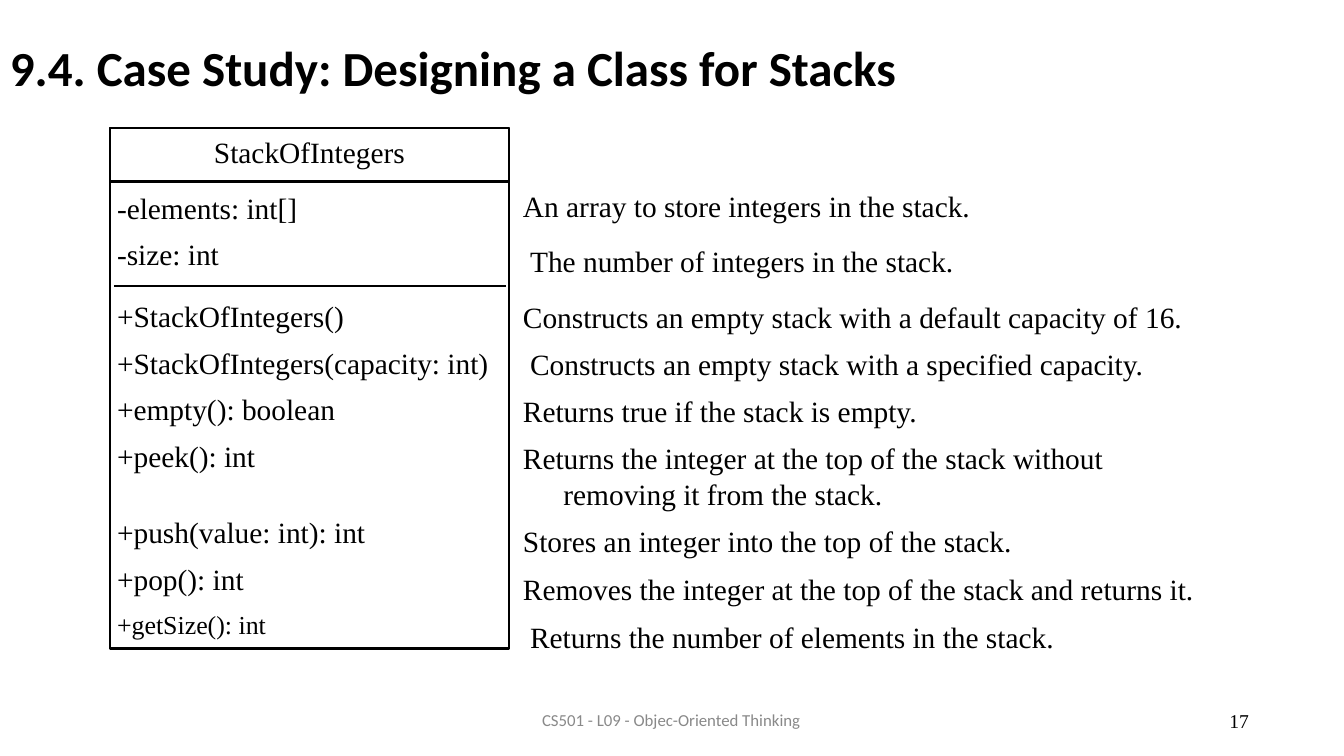
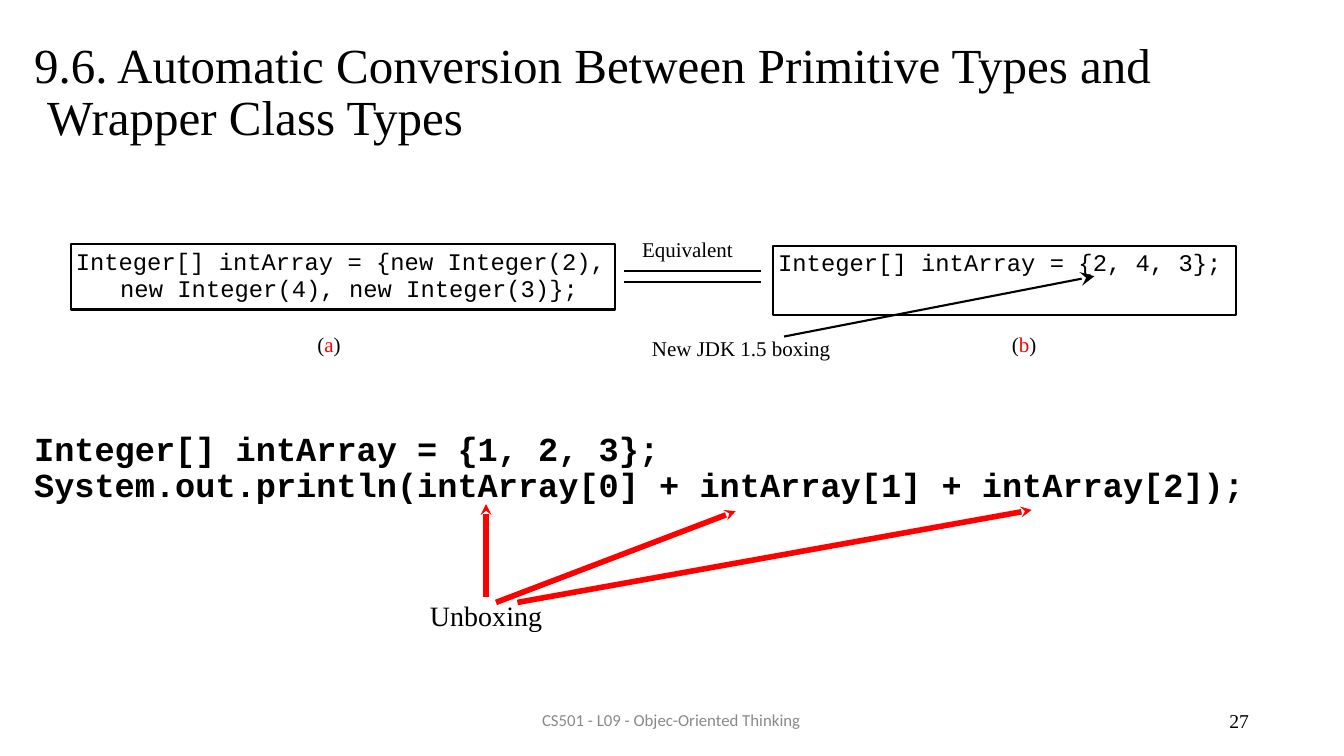
from dataclasses import dataclass

from lxml.etree import SubElement
from pptx import Presentation
from pptx.dml.color import RGBColor
from pptx.enum.shapes import MSO_CONNECTOR as Connector, MSO_SHAPE as Shape
from pptx.enum.text import MSO_ANCHOR as Anchor, MSO_AUTO_SIZE as AutoSize, PP_ALIGN as Align
from pptx.oxml.ns import qn
from pptx.util import Cm, Pt


@dataclass(frozen=True)
class Theme:
    ink: RGBColor = RGBColor(0, 0, 0)
    accent: RGBColor = RGBColor(0xFF, 0, 0)
    muted: RGBColor = RGBColor(0x89, 0x89, 0x89)
    serif: str = "Times New Roman"
    sans: str = "Calibri"
    mono: str = "Courier New"
    title: float = 35
    code: float = 24
    member: float = 21
    small_member: float = 18.5
    callout: float = 20
    boxed_code: float = 17
    label: float = 15
    number: float = 14
    footer: float = 12
    outline: float = 1.9
    thin: float = 1.5
    thick: float = 4


THEME = Theme()


@dataclass
class Para:
    """Paragraph text, or (text, colour) spans; left and first are indents in cm."""
    text: str | list
    before: float = 0
    left: float = 0
    first: float = 0
    size: float | None = None


def write_text(frame, paras, *, font=THEME.serif, size=THEME.label, color=THEME.ink,
               bold=False, align=Align.LEFT, spacing=None, insets=(0, 0)):
    """Fill a text frame; insets are left and top in cm."""
    frame.word_wrap = True
    frame.auto_size = AutoSize.NONE
    frame.vertical_anchor = Anchor.TOP
    frame.margin_left, frame.margin_top = (Cm(inset) for inset in insets)
    frame.margin_right = frame.margin_bottom = 0
    if isinstance(paras, str):
        paras = [Para(paras)]
    for index, item in enumerate(paras):
        para = frame.paragraphs[0] if index == 0 else frame.add_paragraph()
        para.alignment = align
        para.space_before = Pt(item.before)
        if spacing:
            para.line_spacing = Pt(spacing)
        if item.left or item.first:
            properties = para._p.get_or_add_pPr()
            properties.set("marL", str(Cm(item.left)))
            properties.set("indent", str(Cm(item.first)))
        spans = [(item.text, color)] if isinstance(item.text, str) else item.text
        for words, tint in spans:
            span = para.add_run()
            span.text = words
            span.font.name = font
            span.font.size = Pt(item.size or size)
            span.font.bold = bold
            span.font.color.rgb = tint


def add_text(page, left, top, width, height, paras, **style):
    box = page.shapes.add_textbox(Cm(left), Cm(top), Cm(width), Cm(height))
    write_text(box.text_frame, paras, **style)
    return box


def add_frame(page, left, top, width, height, paras=None, *, weight=THEME.outline, **style):
    """Unfilled rectangle with a dark outline."""
    box = page.shapes.add_shape(Shape.RECTANGLE, Cm(left), Cm(top), Cm(width), Cm(height))
    box.shadow.inherit = False
    box.fill.background()
    box.line.color.rgb = THEME.ink
    box.line.width = Pt(weight)
    if paras:
        write_text(box.text_frame, paras, **style)
    return box


def add_line(page, start, end, *, color=THEME.ink, weight=THEME.thin, head=None):
    """Straight line; head is the size of an arrowhead at its end ("sm", "med", "lg")."""
    line = page.shapes.add_connector(Connector.STRAIGHT, *map(Cm, start + end))
    line.line.color.rgb = color
    line.line.width = Pt(weight)
    if head:
        outline = line.line._get_or_add_ln()
        SubElement(outline, qn("a:tailEnd"), type="stealth", w=head, len=head)
    SubElement(line._element.spPr, qn("a:effectLst"))
    return line


def add_page(deck, number, title, left, top, width, height, **style):
    """Slide with its title, the course footer and the page number."""
    page = deck.slides.add_slide(deck.slide_layouts[5])
    heading = page.shapes.title
    heading.left, heading.top = Cm(left), Cm(top)
    heading.width, heading.height = Cm(width), Cm(height)
    write_text(heading.text_frame, title, size=THEME.title, **style)
    add_text(page, 13.66, 17.88, 7, 0.6, "CS501 - L09 - Objec-Oriented Thinking",
             font=THEME.sans, size=THEME.footer, color=THEME.muted)
    add_text(page, 30.98, 17.88, 1, 0.6, str(number), size=THEME.number, spacing=16.3)
    return page


def add_stack_page(deck):
    page = add_page(deck, 17, "9.4. Case Study: Designing a Class for Stacks",
                    0.25, 0.94, 25, 1.6, font=THEME.sans, bold=True)
    left, top, width = 2.77, 3.23, 10.06
    add_frame(page, left, top, width, 13.11)
    add_frame(page, left, top, width, 1.35, "StackOfIntegers",
              size=THEME.member, align=Align.CENTER, insets=(0, 0.15))
    add_line(page, (2.87, 7.21), (12.75, 7.21), weight=THEME.outline)

    attributes = [Para("-elements: int[]"), Para("-size: int", before=8)]
    methods = [
        Para("+StackOfIntegers()"),
        Para("+StackOfIntegers(capacity: int)", before=8),
        Para("+empty(): boolean", before=8),
        Para("+peek(): int", before=8),
        Para("+push(value: int): int", before=29.5),
        Para("+pop(): int", before=8),
        Para("+getSize(): int", before=9, size=THEME.small_member),
    ]
    descriptions = [
        Para("An array to store integers in the stack."),
        Para("The number of integers in the stack.", before=14, left=0.18),
        Para("Constructs an empty stack with a default capacity of 16.", before=14.5),
        Para("Constructs an empty stack with a specified capacity.", before=8.5, left=0.18),
        Para("Returns true if the stack is empty.", before=8.5),
        Para("Returns the integer at the top of the stack without removing it from the stack.",
             before=8.5, left=1.02, first=-1.02),
        Para("Stores an integer into the top of the stack.", before=8.5),
        Para("Removes the integer at the top of the stack and returns it.", before=9),
        Para("Returns the number of elements in the stack.", before=9, left=0.18),
    ]
    add_text(page, 2.95, 4.78, 9.8, 2.2, attributes, size=THEME.member)
    add_text(page, 2.95, 7.52, 9.8, 8.6, methods, size=THEME.member)
    add_text(page, 13.18, 4.75, 17.3, 11.6, descriptions, size=THEME.member)


def add_boxing_page(deck):
    title = Para("9.6. Automatic Conversion Between Primitive Types and Wrapper Class Types",
                 left=0.33, first=-0.33)
    page = add_page(deck, 27, [title], 0.86, 1.04, 28.8, 2.7, spacing=37)

    boxed = dict(font=THEME.mono, size=THEME.boxed_code, weight=THEME.thin)
    explicit = Para("Integer[] intArray = {new Integer(2), new Integer(4), new Integer(3)};",
                    left=1.12, first=-1.12)
    add_frame(page, 1.78, 6.15, 13.72, 1.65, [explicit],
              spacing=19.3, insets=(0.13, 0.1), **boxed)
    add_frame(page, 19.48, 6.2, 11.66, 1.75, "Integer[] intArray = {2, 4, 3};",
              insets=(0.13, 0.05), **boxed)
    for letter, left in (("a", 8), ("b", 25.5)):
        spans = [("(", THEME.ink), (letter, THEME.accent), (")", THEME.ink)]
        add_text(page, left, 8.36, 1, 0.7, [Para(spans)])
    add_text(page, 16.18, 5.97, 3, 0.7, "Equivalent")
    for height in (6.83, 7.11):
        add_line(page, (15.72, height), (19.18, height))
    add_text(page, 16.43, 8.46, 5, 0.7, "New JDK 1.5 boxing")
    add_line(page, (19.76, 8.48), (27.58, 6.96), head="lg")

    code = ["Integer[] intArray = {1, 2, 3};",
            "System.out.println(intArray[0] + intArray[1] + intArray[2]);"]
    add_text(page, 0.86, 10.87, 32, 2, [Para(line) for line in code],
             font=THEME.mono, size=THEME.code, bold=True, spacing=26.2)
    unboxing = add_text(page, 10.8, 15.04, 2.9, 0.91, "Unboxing",
                        size=THEME.callout, align=Align.CENTER, insets=(0, 0.03))
    red = dict(color=THEME.accent, weight=THEME.thick, head="sm")
    upright = add_line(page, (12.25, 15.04), (12.25, 12.7), **red)
    upright.begin_connect(unboxing, 0)
    add_line(page, (12.5, 15.18), (18.54, 12.88), **red)
    add_line(page, (13.04, 15.18), (26, 12.85), **red)


def main():
    deck = Presentation()
    deck.slide_width, deck.slide_height = Cm(33.87), Cm(19.05)
    add_stack_page(deck)
    add_boxing_page(deck)
    deck.save("out.pptx")


if __name__ == "__main__":
    main()
